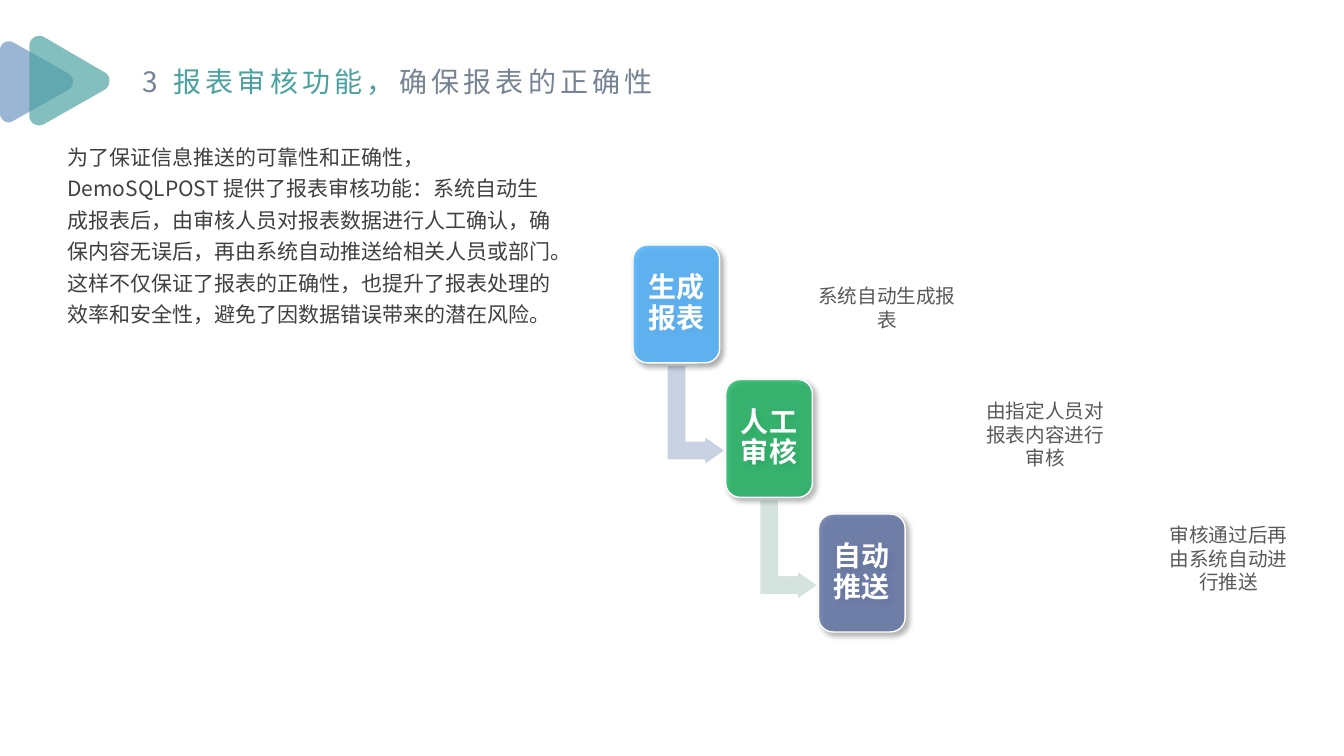
"""Builds the slide on reviewing reports before they are sent."""
from lxml import etree
from pptx import Presentation
from pptx.dml.color import RGBColor
from pptx.enum.shapes import MSO_SHAPE
from pptx.enum.text import MSO_ANCHOR, MSO_AUTO_SIZE, PP_ALIGN
from pptx.oxml.ns import qn
from pptx.util import Inches, Pt

CENTER, MIDDLE = PP_ALIGN.CENTER, MSO_ANCHOR.MIDDLE
GROW = MSO_AUTO_SIZE.SHAPE_TO_FIT_TEXT
ROUNDED, BENT_ARROW = MSO_SHAPE.ROUNDED_RECTANGLE, MSO_SHAPE.BENT_UP_ARROW
FONT = "Noto Sans CJK SC"
COLORS = {
    "white": "FFFFFF", "shadow": "000000", "body": "404040", "caption": "595959",
    "teal": "48A2A0", "slate": "768394", "mist": "6C92C0",
    "sky": "4BB2FF", "green": "00B050", "indigo": "5066A1",
    "pale_blue": "C8D2E2", "pale_green": "D5E3DF",
}


def add_run(paragraph, text, size, color, bold=False):
    run = paragraph.add_run()
    run.text = text
    run.font.size, run.font.bold, run.font.name = Pt(size), bold, FONT
    run.font.color.rgb = RGBColor.from_string(COLORS[color])
    etree.SubElement(run.font._element, qn("a:ea"), typeface=FONT)
    return run


def paint(shape, color, opacity=100, outlined=True):
    shape.shadow.inherit = False
    shape.fill.solid()
    shape.fill.fore_color.rgb = RGBColor.from_string(COLORS[color])
    if opacity < 100:
        tint = shape._element.spPr.find(qn("a:solidFill"))[0]
        etree.SubElement(tint, qn("a:alpha"), val=str(opacity * 1000))
    if outlined:
        shape.line.color.rgb = RGBColor.from_string(COLORS["white"])
        shape.line.width = Pt(1)
    else:
        shape.line.fill.background()


deck = Presentation()
deck.slide_width, deck.slide_height = Inches(13.33), Inches(7.5)
slide = deck.slides.add_slide(deck.slide_layouts[6])
shapes = slide.shapes
COL, ROW = deck.slide_width / 100, deck.slide_height / 100

heading = shapes.add_textbox(
    int(9.9 * COL), int(7.87 * ROW), int(40.2 * COL), int(5.87 * ROW)).text_frame
heading.word_wrap, heading.auto_size = False, GROW
for words, color in [("3 ", "slate"), ("报表审核功能，", "teal"), ("确保报表的正确性", "slate")]:
    part = add_run(heading.paragraphs[0], words, 20, color)
    part.font._element.set("spc", "300")

# Each corner is a cubic curve; straight sides join one corner to the next.
triangles = [
    ("mist", [
        [(0.13, 0.42), (0.07, 0.39), (0, 0.43), (0, 0.5)],
        [(0, 1.12), (0, 1.19), (0.07, 1.24), (0.13, 1.2)],
        [(0.68, 0.89), (0.74, 0.85), (0.74, 0.77), (0.68, 0.73)]]),
    ("teal", [
        [(0.44, 0.37), (0.37, 0.33), (0.29, 0.38), (0.29, 0.46)],
        [(0.29, 1.15), (0.29, 1.22), (0.37, 1.27), (0.44, 1.23)],
        [(1.04, 0.89), (1.1, 0.85), (1.1, 0.75), (1.04, 0.72)]]),
]
CURVE_STEPS = 12
for color, corners in triangles:
    outline = []
    for corner in corners:
        for step in range(CURVE_STEPS + 1):
            t = step / CURVE_STEPS
            weights = ((1 - t) ** 3, 3 * t * (1 - t) ** 2, 3 * t * t * (1 - t), t ** 3)
            outline.append(tuple(
                Inches(sum(w * point[axis] for w, point in zip(weights, corner)))
                for axis in (0, 1)))
    builder = shapes.build_freeform(*outline[0])
    builder.add_line_segments(outline[1:], close=True)
    paint(builder.convert_to_shape(), color, 68, outlined=False)

explanation = shapes.add_textbox(
    int(4.28 * COL), int(17.6 * ROW), int(37.72 * COL), int(26.53 * ROW)).text_frame
explanation.word_wrap, explanation.auto_size = True, GROW
sentences = [
    "为了保证信息推送的可靠性和正确性，DemoSQLPOST 提供了报表审核功能："
    "系统自动生成报表后，由审核人员对报表数据进行人工确认，"
    "确保内容无误后，再由系统自动推送给相关人员或部门。",
    "这样不仅保证了报表的正确性，也提升了报表处理的效率和安全性，"
    "避免了因数据错误带来的潜在风险。",
]
for index, sentence in enumerate(sentences):
    paragraph = explanation.add_paragraph() if index else explanation.paragraphs[0]
    paragraph.line_spacing = 1.25
    add_run(paragraph, sentence, 15, "body")

STEP_COLS, STEP_ROWS = 6.9, 17.8
stages = [
    ("生成报表", "sky", 80, "pale_blue"),
    ("人工审核", "green", 70, "pale_green"),
    ("自动推送", "indigo", 70, None),
]
for index, (stage, color, opacity, arrow_color) in enumerate(stages):
    across, down = index * STEP_COLS, index * STEP_ROWS
    if arrow_color:
        arrow = shapes.add_shape(
            BENT_ARROW, int((48.08 + across) * COL), int((51.07 + down) * ROW),
            int(7.43 * COL), int(7.73 * ROW))
        arrow.rotation = 90
        for place, ratio in enumerate((0.328, 0.25, 0.358)):
            arrow.adjustments[place] = ratio
        paint(arrow, arrow_color)

    card = shapes.add_shape(
        ROUNDED, int((47.1 + across) * COL), int((32.4 + down) * ROW),
        int(6.45 * COL), int(15.6 * ROW))
    paint(card, color, opacity)
    shadow = etree.SubElement(
        card._element.spPr.find(qn("a:effectLst")), qn("a:outerShdw"),
        blurRad=str(Pt(4)), dist=str(Pt(3)), dir=str(45 * 60000),
        algn="tl", rotWithShape="0")
    shade = etree.SubElement(shadow, qn("a:srgbClr"), val=COLORS["shadow"])
    etree.SubElement(shade, qn("a:alpha"), val="40000")

    label = card.text_frame
    label.word_wrap, label.vertical_anchor = True, MIDDLE
    label.margin_left = label.margin_right = Inches(0.06)
    label.margin_top = label.margin_bottom = Inches(0.08)
    label.paragraphs[0].alignment = CENTER
    label.paragraphs[0].line_spacing = 0.9
    add_run(label.paragraphs[0], stage, 20, "white", bold=True)

captions = [
    ("系统自动生成报表", 59.77, 36.93, 12.45, 7.6),
    ("由指定人员对报表内容进行审核", 72.22, 52.13, 11.1, 13.87),
    ("审核通过后再由系统自动进行推送", 85.87, 68.53, 11.1, 10.8),
]
for words, left, top, width, height in captions:
    caption = shapes.add_textbox(
        int(left * COL), int(top * ROW), int(width * COL), int(height * ROW)).text_frame
    caption.word_wrap, caption.auto_size = True, GROW
    caption.paragraphs[0].alignment = CENTER
    add_run(caption.paragraphs[0], words, 14, "caption")

deck.save("out.pptx")
